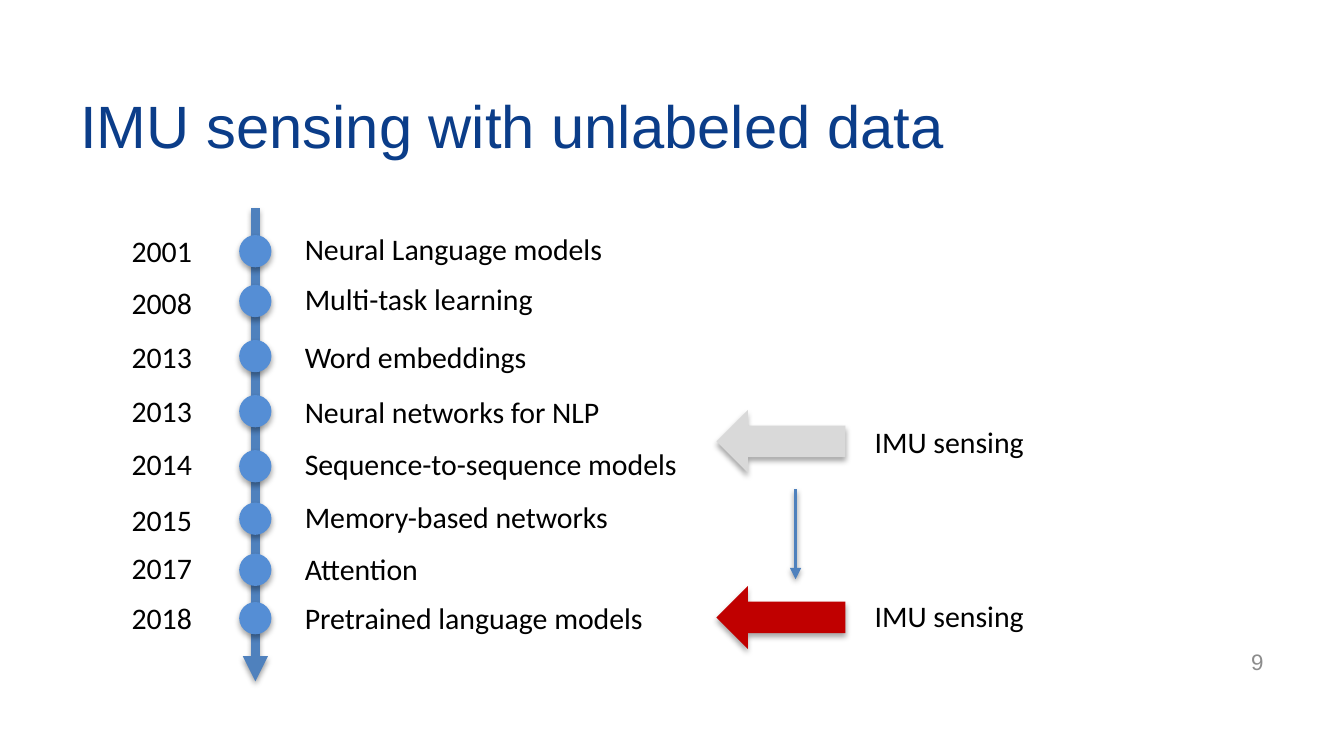
from lxml.etree import SubElement
from pptx import Presentation
from pptx.dml.color import RGBColor
from pptx.enum.shapes import MSO_CONNECTOR, MSO_SHAPE
from pptx.enum.text import MSO_ANCHOR, PP_ALIGN
from pptx.oxml.ns import qn
from pptx.util import Pt

# year, milestone, dot centre, year top, milestone top
MILESTONES = [
    ("2001", "Neural Language models", 134.6, 121, 120.2),
    ("2008", "Multi-task learning", 161.3, 149, 147),
    ("2013", "Word embeddings", 190.8, 177.8, 177.8),
    ("2013", "Neural networks for NLP", 220.3, 206.6, 207.4),
    ("2014", "Sequence-to-sequence models", 249.8, 235.4, 235.4),
    ("2015", "Memory-based networks", 277.9, 265, 263.5),
    ("2017", "Attention", 305.3, 290.9, 291.6),
    ("2018", "Pretrained language models", 331.2, 317.5, 317.5),
]
# arrow top, label top, arrow colour
SENSING = [(219.6, 223.2, "D9D9D9"), (313.9, 316.8, "C00000")]
AXIS_X = 136.8
DOT = 17.3
LINE_HEIGHT = 26.6


def color(hex_value):
    return RGBColor.from_string(hex_value)


def add_shadow(effects, distance, opacity):
    """Fill an effect list with a soft black shadow that falls downwards."""
    shadow = SubElement(effects, qn("a:outerShdw"), blurRad=str(Pt(3.1)),
                        dist=str(Pt(distance)), dir="5400000", rotWithShape="0")
    black = SubElement(shadow, qn("a:srgbClr"), val="000000")
    SubElement(black, qn("a:alpha"), val=str(opacity * 1000))


class TimelineSlide:
    font = "Calibri"
    size = 16
    ink = "000000"
    line_color = "4F81BD"
    dot_color = "558ED5"

    def __init__(self, slide):
        self.shapes = slide.shapes

    def text(self, content, left, top, width, height=LINE_HEIGHT, *, font=None,
             size=None, ink=None, align=PP_ALIGN.LEFT, anchor=MSO_ANCHOR.TOP):
        box = self.shapes.add_textbox(Pt(left), Pt(top), Pt(width), Pt(height))
        frame = box.text_frame
        frame.word_wrap = True
        frame.vertical_anchor = anchor
        paragraph = frame.paragraphs[0]
        paragraph.alignment = align
        run = paragraph.add_run()
        run.text = content
        run.font.name = font or self.font
        run.font.size = Pt(size or self.size)
        run.font.color.rgb = color(ink or self.ink)

    def shape(self, preset, left, top, width, height, fill):
        shape = self.shapes.add_shape(preset, Pt(left), Pt(top), Pt(width), Pt(height))
        shape.fill.solid()
        shape.fill.fore_color.rgb = color(fill)
        shape.line.fill.background()
        shape.shadow.inherit = False
        add_shadow(shape._element.spPr.find(qn("a:effectLst")), 1.8, 35)

    def down_arrow(self, x, top, bottom, weight):
        arrow = self.shapes.add_connector(
            MSO_CONNECTOR.STRAIGHT, Pt(x), Pt(top), Pt(x), Pt(bottom))
        arrow.line.color.rgb = color(self.line_color)
        arrow.line.width = Pt(weight)
        SubElement(arrow.line._get_or_add_ln(), qn("a:tailEnd"), type="triangle")
        add_shadow(SubElement(arrow._element.spPr, qn("a:effectLst")), 1.6, 38)

    def dot(self, center_y):
        self.shape(MSO_SHAPE.OVAL, AXIS_X - DOT / 2, center_y - DOT / 2,
                   DOT, DOT, self.dot_color)


def main():
    deck = Presentation()
    deck.slide_width, deck.slide_height = Pt(720), Pt(405)
    page = TimelineSlide(deck.slides.add_slide(deck.slide_layouts[6]))

    page.text("IMU sensing with unlabeled data", 36, 33.1, 648, 67.7,
              font="Arial", size=32, ink="0B3D89", anchor=MSO_ANCHOR.MIDDLE)
    page.text("9", 516.2, 343.4, 167.8, 21.6, font="Arial", size=12,
              ink="8C8C8C", align=PP_ALIGN.RIGHT, anchor=MSO_ANCHOR.MIDDLE)

    for arrow_top, label_top, fill in SENSING:
        page.shape(MSO_SHAPE.LEFT_ARROW, 383.8, arrow_top, 69.1, 33.8, fill)
        page.text("IMU sensing", 461.5, label_top, 121.7)
    page.down_arrow(426.2, 262.1, 310.3, 2)

    page.down_arrow(AXIS_X, 111.6, 365, 4.5)
    for year, milestone, center_y, year_top, milestone_top in MILESTONES:
        page.dot(center_y)
        page.text(milestone, 156.2, milestone_top, 234)
        page.text(year, 63.4, year_top, 56.9)

    deck.save("out.pptx")


if __name__ == "__main__":
    main()
